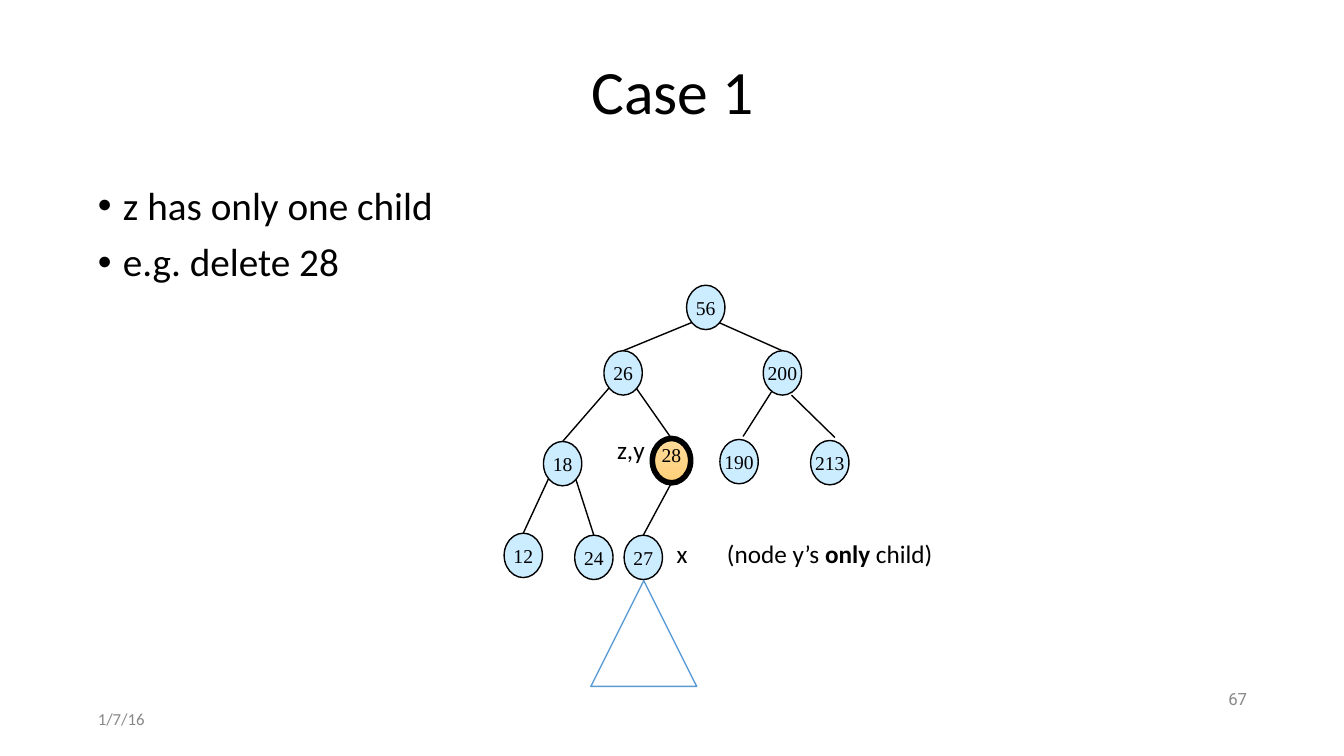
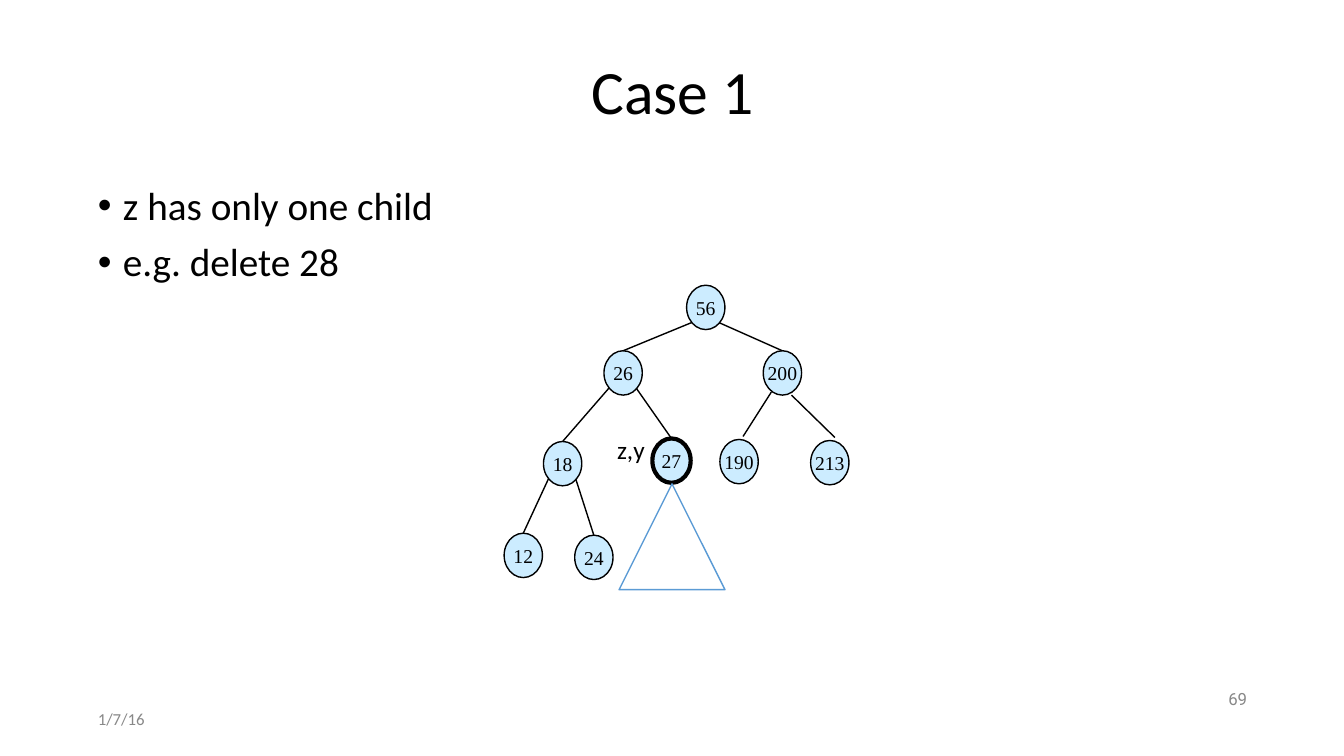
from lxml import etree
from pptx import Presentation
from pptx.dml.color import RGBColor
from pptx.enum.shapes import MSO_CONNECTOR as Connector, MSO_SHAPE as Shape
from pptx.enum.text import MSO_ANCHOR as Anchor, MSO_AUTO_SIZE as AutoSize, PP_ALIGN as Align
from pptx.oxml.ns import qn
from pptx.util import Pt

SCALE = 9144  # EMU in one px, 100 px to the inch
BLACK = RGBColor(0x00, 0x00, 0x00)
GREY = RGBColor(0x88, 0x88, 0x88)
WHITE = RGBColor(0xFF, 0xFF, 0xFF)
NODE_BLUE = RGBColor(0xCC, 0xEC, 0xFF)
SUBTREE_BLUE = RGBColor(0x5B, 0x9B, 0xD5)
ORANGE_TOP = RGBColor(0xFF, 0xDB, 0x9B)
ORANGE_BOTTOM = RGBColor(0xFF, 0xD0, 0x78)
BODY_FONT, NUMBER_FONT, NODE_FONT = "Calibri", "Roboto", "Times New Roman"

# Regions: left, top, width, height
TITLE_BOX = (92, 40, 1150, 107)
BULLET_BOX = (92, 180, 374, 143)
DATE_BOX = (92, 700, 300, 29)
NUMBER_BOX = (942, 680, 300, 29)
TREE_BOX = (500, 283, 342, 398)

NODE_WIDTH, NODE_HEIGHT = 38, 44
SUBTREE_SIZE = 105
LEFT, RIGHT, BOTTOM = (-14, 15), (13, 15), (0, 22)  # edge starts, from the parent's centre

# Node centres within the tree box
CENTRES = {
    "56": (200, 22), "26": (118, 87), "200": (276, 87),
    "18": (58, 177), "190": (233, 175), "213": (323, 176),
    "12": (19, 228), "24": (89, 230),
}
TARGET_CENTRE = (166, 174)
CHILD_CENTRE = (138, 270)
CENTRES["12"], CENTRES["24"] = (19, 268), (89, 270)

# Edges that end at the top of the child: parent, child, start
EDGES = [("56", "26", LEFT), ("56", "200", RIGHT), ("26", "18", LEFT),
         ("18", "12", LEFT), ("18", "24", RIGHT)]
# Edges that stop short of the child: start, end
LOOSE_EDGES = [((265, 106), (237, 150)), ((285, 109), (328, 151))]


def px(*lengths):
    return [round(length * SCALE) for length in lengths]


def add_run(paragraph, text, size, font=BODY_FONT, color=BLACK, bold=None):
    run = paragraph.add_run()
    run.text = text
    run.font.size, run.font.name, run.font.bold = Pt(size), font, bold
    run.font.color.rgb = color


def add_text_box(slide, box, anchor=Anchor.TOP, wrap=True):
    frame = slide.shapes.add_textbox(*px(*box)).text_frame
    frame.word_wrap, frame.vertical_anchor = wrap, anchor
    frame.auto_size = AutoSize.NONE if wrap else AutoSize.SHAPE_TO_FIT_TEXT
    frame.margin_left, frame.margin_top, frame.margin_right, frame.margin_bottom = px(5, 5, 5, 5)
    return frame


def add_line_of_text(slide, box, text, size, align=Align.LEFT, **style):
    paragraph = add_text_box(slide, box, Anchor.MIDDLE).paragraphs[0]
    paragraph.alignment, paragraph.line_spacing = align, 0.9
    add_run(paragraph, text, size, **style)


def add_frame(slide, number):
    """Title, date and slide number."""
    add_line_of_text(slide, TITLE_BOX, "Case 1", 44, Align.CENTER)
    add_line_of_text(slide, DATE_BOX, "1/7/16", 12, color=GREY)
    add_line_of_text(slide, NUMBER_BOX, number, 12, Align.RIGHT, font=NUMBER_FONT, color=GREY)


def add_bullets(slide, box, lines):
    frame = add_text_box(slide, box)
    indent, = px(25)
    for index, line in enumerate(lines):
        paragraph = frame.add_paragraph() if index else frame.paragraphs[0]
        paragraph.line_spacing, paragraph.space_before = 0.9, Pt(10)
        properties = paragraph._p.get_or_add_pPr()
        properties.set("marL", str(indent))
        properties.set("indent", str(-indent))
        etree.SubElement(properties, qn("a:buFont")).set("typeface", "Arial")
        etree.SubElement(properties, qn("a:buChar")).set("char", "•")
        add_run(paragraph, line, 28)


def add_outlined(slide, kind, box, line_color, line_width, fill_color):
    shape = slide.shapes.add_shape(kind, *px(*box))
    shape.shadow.inherit = False
    shape.fill.solid()
    shape.fill.fore_color.rgb = fill_color
    shape.line.color.rgb, shape.line.width = line_color, Pt(line_width)
    return shape


def add_node(slide, origin, centre, key, line_width=1):
    left = origin[0] + centre[0] - NODE_WIDTH // 2
    top = origin[1] + centre[1] - NODE_HEIGHT // 2
    node = add_outlined(slide, Shape.OVAL, (left, top, NODE_WIDTH, NODE_HEIGHT),
                        BLACK, line_width, NODE_BLUE)
    frame = node.text_frame
    frame.word_wrap, frame.vertical_anchor = False, Anchor.MIDDLE
    frame.margin_left = frame.margin_top = frame.margin_right = frame.margin_bottom = 0
    frame.paragraphs[0].alignment = Align.CENTER
    add_run(frame.paragraphs[0], key, 14, NODE_FONT)
    return node


def add_edge(slide, origin, start, end, child=None):
    points = [origin[axis] + point[axis] for point in (start, end) for axis in (0, 1)]
    edge = slide.shapes.add_connector(Connector.STRAIGHT, *px(*points))
    edge.line.color.rgb, edge.line.width = BLACK, Pt(1)
    etree.SubElement(edge._element.spPr, qn("a:effectLst"))
    if child is not None:
        edge.end_connect(child, 0)


def add_child_edge(slide, origin, parent_centre, start, child_centre, child):
    begin = (parent_centre[0] + start[0], parent_centre[1] + start[1])
    add_edge(slide, origin, begin, (child_centre[0], child_centre[1] - NODE_HEIGHT // 2), child)


def add_subtree(slide, origin, centre):
    """Triangle hanging below the node at the given centre."""
    box = (origin[0] + centre[0] - SUBTREE_SIZE // 2, origin[1] + centre[1] + 23,
           SUBTREE_SIZE, SUBTREE_SIZE)
    add_outlined(slide, Shape.ISOSCELES_TRIANGLE, box, SUBTREE_BLUE, 1, WHITE)


def add_label(slide, origin, box, *parts):
    left, top, width, height = box
    frame = add_text_box(slide, (origin[0] + left, origin[1] + top, width, height), wrap=False)
    for text, bold in parts:
        add_run(frame.paragraphs[0], text, 18, bold=bold)


def add_tree(slide, box, target_key, target_line):
    """The part of the tree both slides show; returns the target node."""
    origin = box[:2]
    nodes = {key: add_node(slide, origin, centre, key) for key, centre in CENTRES.items()}
    target = add_node(slide, origin, TARGET_CENTRE, target_key, target_line)
    for parent, child, start in EDGES:
        add_child_edge(slide, origin, CENTRES[parent], start, CENTRES[child], nodes[child])
    add_child_edge(slide, origin, CENTRES["26"], RIGHT, TARGET_CENTRE, target)
    for start, end in LOOSE_EDGES:
        add_edge(slide, origin, start, end)
    add_label(slide, origin, (107, 143, 39, 41), ("z,y", None))
    return target


def add_tree_before(slide, box):
    """28 is marked and still has its only child."""
    origin = box[:2]
    target = add_tree(slide, box, "28", 4)
    target.fill.gradient()
    target.fill.gradient_angle = 270
    for stop, color in zip(target.fill.gradient_stops, (ORANGE_TOP, ORANGE_BOTTOM)):
        stop.color.rgb = color
    target.text_frame.margin_bottom, = px(12)
    child = add_node(slide, origin, CHILD_CENTRE, "27")
    add_child_edge(slide, origin, TARGET_CENTRE, BOTTOM, CHILD_CENTRE, child)
    add_label(slide, origin, (166, 246, 22, 41), ("x", None))
    add_label(slide, origin, (216, 246, 215, 41),
              ("(node y’s ", None), ("only", True), (" child)", None))
    add_subtree(slide, origin, CHILD_CENTRE)


def add_tree_after(slide, box):
    """27 has moved up with its subtree."""
    add_tree(slide, box, "27", 3)
    add_subtree(slide, box[:2], TARGET_CENTRE)


def main():
    presentation = Presentation()
    presentation.slide_width, presentation.slide_height = px(1333, 750)
    for number, add_tree_state in (("67", add_tree_before), ("69", add_tree_after)):
        slide = presentation.slides.add_slide(presentation.slide_layouts[6])
        add_frame(slide, number)
        add_bullets(slide, BULLET_BOX, ("z has only one child", "e.g. delete 28"))
        add_tree_state(slide, TREE_BOX)
    presentation.save("out.pptx")


if __name__ == "__main__":
    main()
